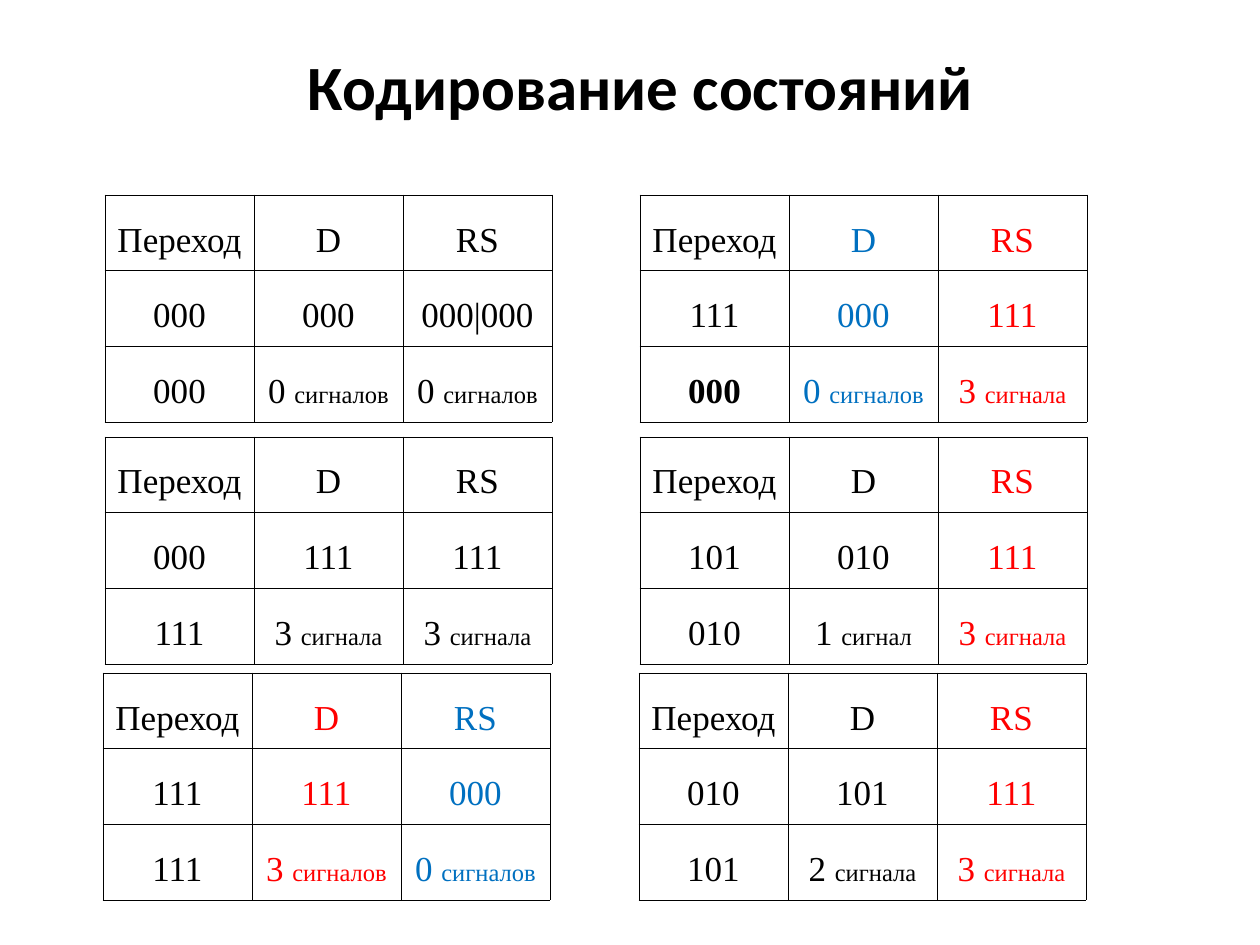
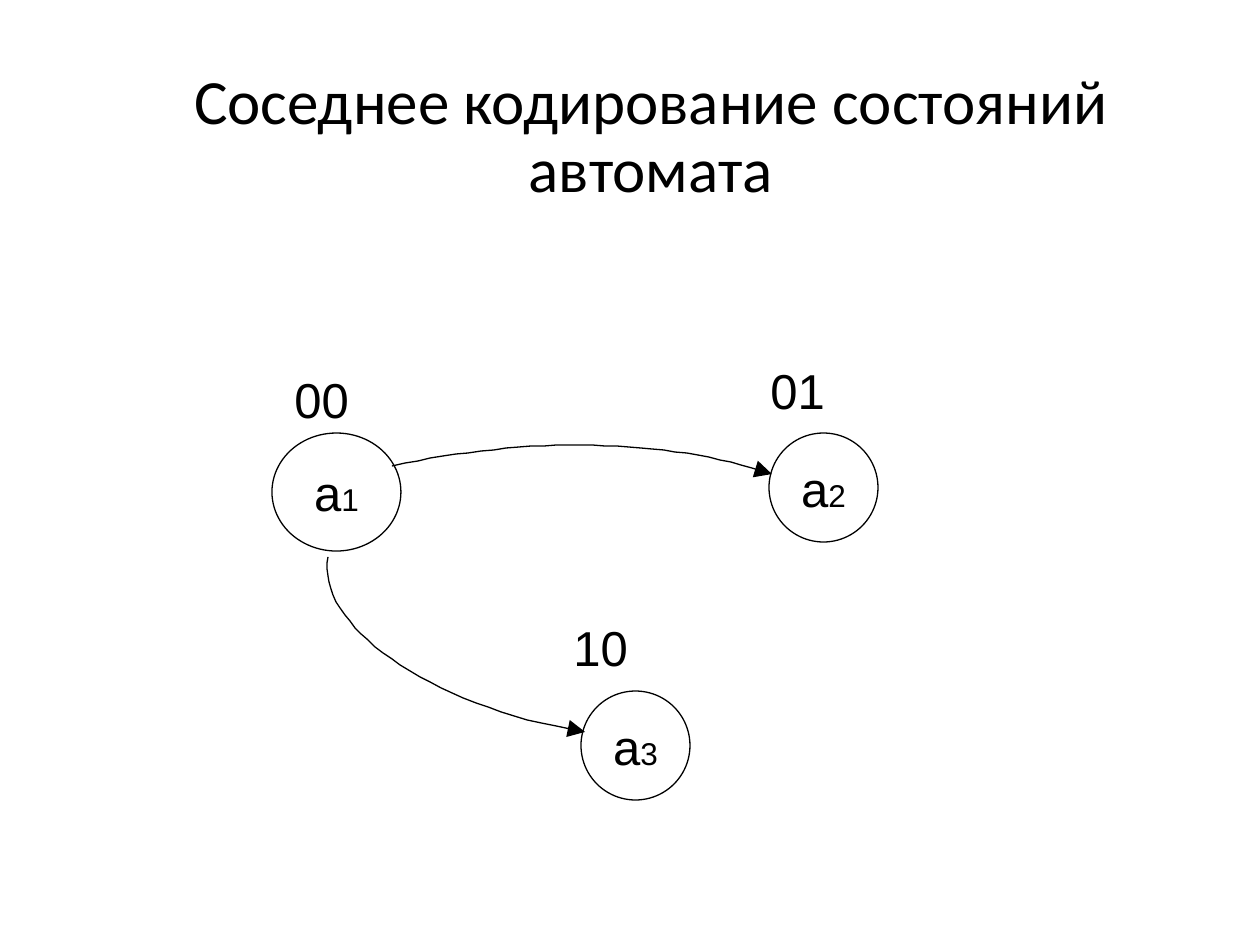
from lxml import etree
from pptx import Presentation, util as u
from pptx.dml.color import RGBColor
from pptx.enum import shapes, text
from pptx.oxml.ns import qn

SCALE = u.Inches(1) / 126  # EMU in one px
BLACK = RGBColor(0, 0, 0)
BLUE = RGBColor(0x00, 0x70, 0xC0)
RED = RGBColor(0xFF, 0, 0)
TITLE_FONT, TABLE_FONT, GRAPH_FONT = "Calibri", "Times New Roman", "Arial"


def px(*lengths):
    return [round(length * SCALE) for length in lengths]


def add_runs(paragraph, font_name, *runs, color=BLACK, bold=False):
    for words, size in runs:
        run = paragraph.add_run()
        run.text = words
        run.font.name = font_name
        run.font.size = u.Pt(size)
        run.font.bold = bold
        run.font.color.rgb = color


presentation = Presentation()
presentation.slide_width, presentation.slide_height = px(1260, 945)

# Titles
titles = [
    ("Кодирование состояний", (105, 35, 1071, 100), True, 1.0),
    ("Соседнее кодирование состояний автомата", (84, 59, 1134, 158), False, 0.9),
]
slides = []
for words, box, bold, spacing in titles:
    slide = presentation.slides.add_slide(presentation.slide_layouts[6])
    frame = slide.shapes.add_textbox(*px(*box)).text_frame
    frame.word_wrap = True
    frame.vertical_anchor = text.MSO_ANCHOR.MIDDLE
    paragraph = frame.paragraphs[0]
    paragraph.alignment = text.PP_ALIGN.CENTER
    paragraph.line_spacing = spacing
    add_runs(paragraph, TITLE_FONT, (words, 36), color=BLACK, bold=bold)
    slides.append(slide)
coding_slide, graph_slide = slides

# Transition tables: position, from, to, then colour, input and signals of D and RS
transitions = [
    (105, 195, "000", "000", (BLACK, "000", "0 сигналов"), (BLACK, "000|000", "0 сигналов")),
    (640, 195, "111", "000", (BLUE, "000", "0 сигналов"), (RED, "111", "3 сигнала")),
    (105, 437, "000", "111", (BLACK, "111", "3 сигнала"), (BLACK, "111", "3 сигнала")),
    (640, 437, "101", "010", (BLACK, "010", "1 сигнал"), (RED, "111", "3 сигнала")),
    (103, 673, "111", "111", (RED, "111", "3 сигналов"), (BLUE, "000", "0 сигналов")),
    (639, 673, "010", "101", (BLACK, "101", "2 сигнала"), (RED, "111", "3 сигнала")),
]
COLUMN, ROW, CELL_INSET = px(149, 63, 10)
for left, top, start, end, d_input, rs_input in transitions:
    table = coding_slide.shapes.add_table(3, 3, *px(left, top), 3 * COLUMN, 3 * ROW).table
    table.first_row = table.horz_banding = False
    columns = [
        (BLACK, "Переход", start, end),
        (d_input[0], "D", *d_input[1:]),
        (rs_input[0], "RS", *rs_input[1:]),
    ]
    for column, (color, *values) in enumerate(columns):
        table.columns[column].width = COLUMN
        for row, value in enumerate(values):
            table.rows[row].height = ROW
            cell = table.cell(row, column)
            cell.margin_left = cell.margin_right = CELL_INSET
            cell.fill.background()
            paragraph = cell.text_frame.paragraphs[0]
            paragraph.alignment = text.PP_ALIGN.CENTER
            paragraph.line_spacing = 1.5
            number, gap, unit = value.partition(" ")
            runs = [(number + gap, 20)]
            if unit:
                runs.append((unit, 14))
            # The only transition that resets every bit is stressed
            stressed = column == 0 and row == 2 and (start, end) == ("111", "000")
            add_runs(paragraph, TABLE_FONT, *runs, color=color, bold=stressed)
            # Thin black borders
            properties = cell._tc.get_or_add_tcPr()
            for index, side in enumerate(("lnL", "lnR", "lnT", "lnB")):
                border = etree.Element(qn(f"a:{side}"), w=str(u.Pt(0.45)))
                border_fill = etree.SubElement(border, qn("a:solidFill"))
                etree.SubElement(border_fill, qn("a:srgbClr"), val=str(BLACK))
                properties.insert(index, border)

# States: number, circle box, code, position of the code
states = [
    ("1", (272, 433, 129, 118), "00", (282, 363)),
    ("2", (769, 433, 109, 109), "01", (758, 354)),
    ("3", (581, 691, 109, 109), "10", (561, 611)),
]
for number, box, code, code_position in states:
    circle = graph_slide.shapes.add_shape(shapes.MSO_SHAPE.OVAL, *px(*box))
    circle.shadow.inherit = False
    circle.fill.background()
    circle.line.color.rgb = BLACK
    circle.line.width = u.Pt(0.75)
    frame = circle.text_frame
    frame.word_wrap = False
    frame.vertical_anchor = text.MSO_ANCHOR.MIDDLE
    paragraph = frame.paragraphs[0]
    paragraph.alignment = text.PP_ALIGN.CENTER
    add_runs(paragraph, GRAPH_FONT, ("a", 28), (number, 18))

    frame = graph_slide.shapes.add_textbox(*px(*code_position, 129, 72)).text_frame
    frame.word_wrap = True
    frame.auto_size = text.MSO_AUTO_SIZE.SHAPE_TO_FIT_TEXT
    frame.paragraphs[0].space_before = u.Pt(17.5)
    add_runs(frame.paragraphs[0], GRAPH_FONT, (code, 28))

# Curved arrows along cubic Bezier curves
arrows = [
    ((392, 466), (528, 436), (665, 438), (772, 474)),
    ((328, 557), (315, 622), (425, 706), (585, 732)),
]
STEPS = 32
for curve in arrows:
    points = []
    for step in range(STEPS + 1):
        t = step / STEPS
        weights = ((1 - t) ** 3, 3 * t * (1 - t) ** 2, 3 * t**2 * (1 - t), t**3)
        points.append(tuple(sum(w * p for w, p in zip(weights, axis)) for axis in zip(*curve)))
    builder = graph_slide.shapes.build_freeform(*points[0], scale=SCALE)
    builder.add_line_segments(points[1:], close=False)
    arrow = builder.convert_to_shape()
    arrow.shadow.inherit = False
    arrow.fill.background()
    arrow.line.color.rgb = BLACK
    arrow.line.width = u.Pt(0.75)
    etree.SubElement(arrow.line._get_or_add_ln(), qn("a:tailEnd"), type="triangle", w="lg", len="lg")

presentation.save("out.pptx")
